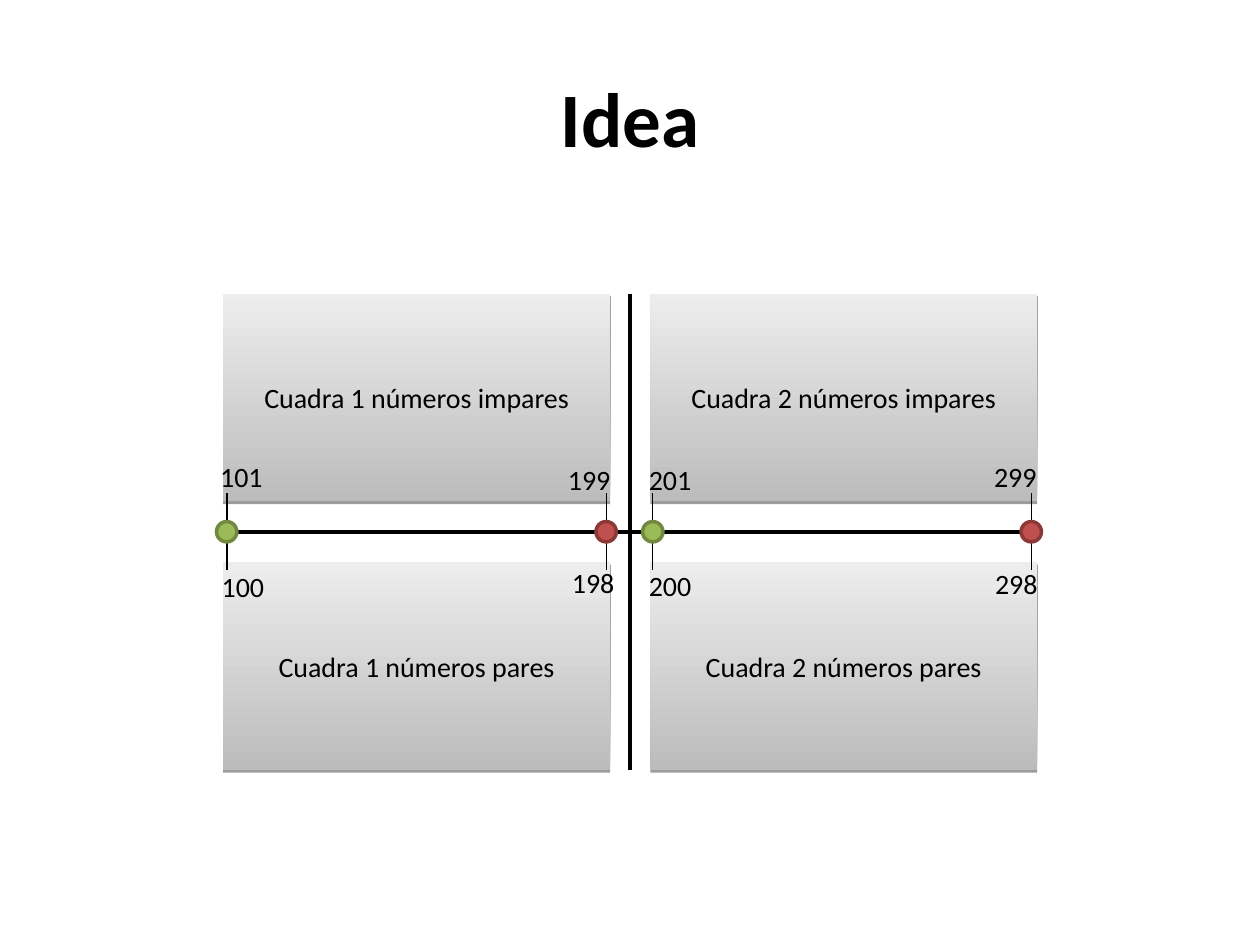
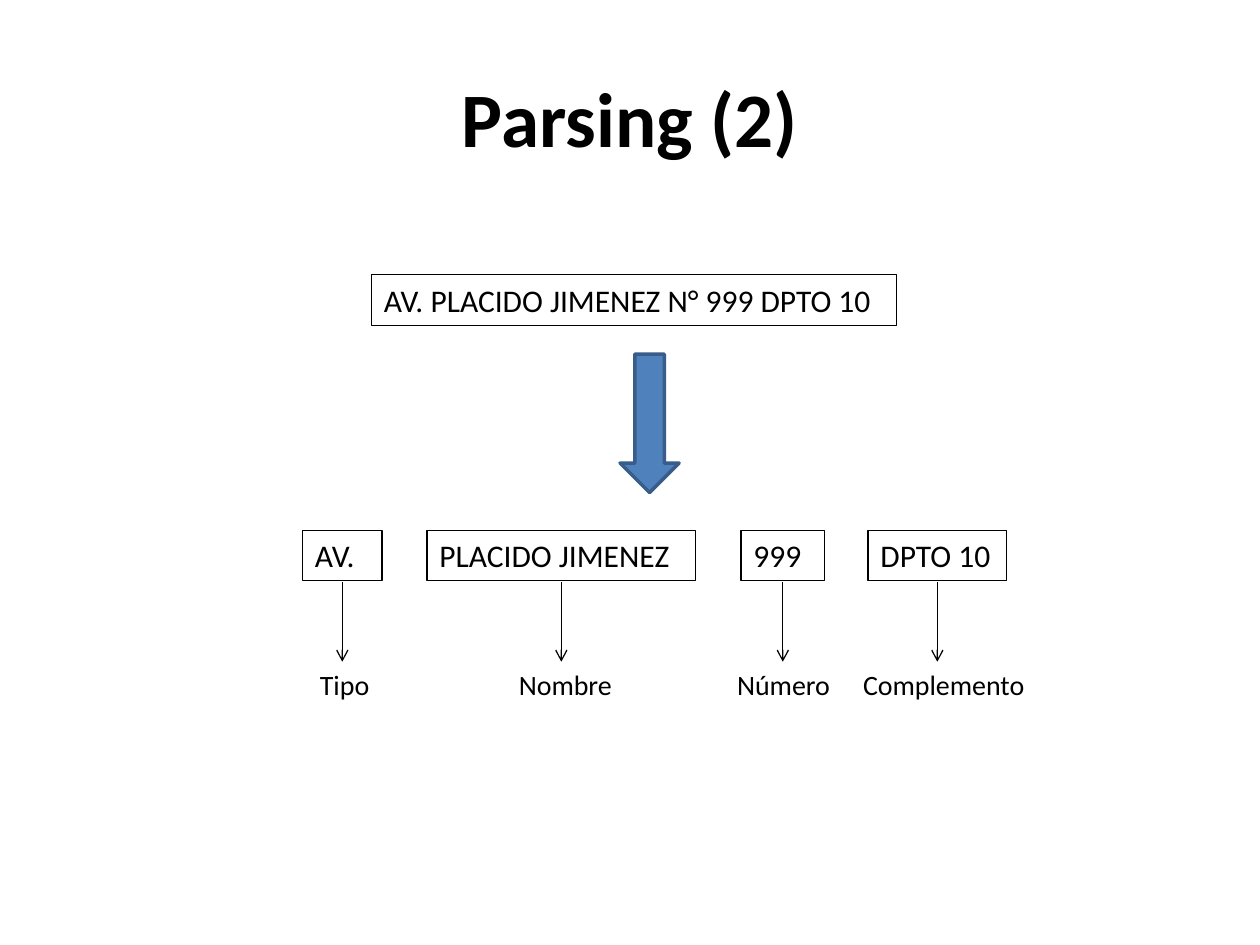
import pptx
import pptx.dml.color
import pptx.enum.shapes
import pptx.enum.text
import pptx.oxml
import pptx.oxml.ns
import pptx.util
import lxml.etree

BLACK = pptx.dml.color.RGBColor(0x00, 0x00, 0x00)
DARK = pptx.dml.color.RGBColor(0xBC, 0xBC, 0xBC)
LIGHT = pptx.dml.color.RGBColor(0xED, 0xED, 0xED)
GREEN = pptx.dml.color.RGBColor(0x9B, 0xBB, 0x59)
MOSS = pptx.dml.color.RGBColor(0x71, 0x89, 0x3F)
RED = pptx.dml.color.RGBColor(0xC0, 0x50, 0x4D)
WINE = pptx.dml.color.RGBColor(0x8C, 0x38, 0x36)
BLUE = pptx.dml.color.RGBColor(0x4F, 0x81, 0xBD)
NAVY = pptx.dml.color.RGBColor(0x38, 0x5D, 0x8A)

FORMS = pptx.enum.shapes.MSO_SHAPE
ALIGN = pptx.enum.text.PP_ALIGN
MIDDLE = pptx.enum.text.MSO_ANCHOR.MIDDLE
GROW = pptx.enum.text.MSO_AUTO_SIZE.SHAPE_TO_FIT_TEXT
HEAD = {"name": "Calibri", "size": pptx.util.Pt(44), "bold": True}
BODY = {"name": "Calibri", "size": pptx.util.Pt(18)}
SMALL = {"name": "Calibri", "size": pptx.util.Pt(16)}
THIN, THICK, EDGE = 0.74, 2.24, 2.01


def place(*sizes):
    """Turn centimetres into lengths."""
    return [pptx.util.Cm(size) for size in sizes]


def write(shape, text, style, align=ALIGN.LEFT):
    """Put one styled paragraph into a shape."""
    frame = shape.text_frame
    frame.word_wrap = True
    line = frame.paragraphs[0]
    line.alignment = align
    run = line.add_run()
    run.text = text
    for key, value in style.items():
        setattr(run.font, key, value)
    run.font.color.rgb = BLACK


def stroke(line, color, width):
    """Give a line its colour and width."""
    line.color.rgb = color
    line.width = pptx.util.Pt(width)


def start(deck, text):
    """Add a slide with its title."""
    slide = deck.slides.add_slide(deck.slide_layouts[5])
    title = slide.shapes.title
    spots = dict(zip(("left", "top", "width", "height"), place(1.27, 0.76, 22.86, 3.18)))
    for key, value in spots.items():
        setattr(title, key, value)
    title.text_frame.vertical_anchor = MIDDLE
    write(title, text, HEAD, ALIGN.CENTER)
    return slide


def label(slide, text, box, style=SMALL, framed=False):
    """Add a text box, framed if asked."""
    shape = slide.shapes.add_textbox(*place(*box))
    write(shape, text, style)
    shape.text_frame.auto_size = GROW
    if framed:
        stroke(shape.line, BLACK, THIN)


def form(slide, kind, box, fill, edge):
    """Add a filled and outlined preset shape."""
    shape = slide.shapes.add_shape(kind, *place(*box))
    shape.shadow.inherit = False
    shape.fill.solid()
    shape.fill.fore_color.rgb = fill
    stroke(shape.line, edge, EDGE)


def block(slide, text, box):
    """Add a grey street block with a soft edge below."""
    shape = slide.shapes.add_shape(FORMS.RECTANGLE, *place(*box))
    shape.line.fill.background()
    shape.fill.gradient()
    shape.fill.gradient_angle = 90
    for stop, color in zip(shape.fill.gradient_stops, (DARK, LIGHT)):
        stop.color.rgb = color
    shape.shadow.inherit = False
    glow = shape._element.spPr.find(pptx.oxml.ns.qn("a:effectLst"))
    shade = lxml.etree.SubElement(glow, pptx.oxml.ns.qn("a:outerShdw"), blurRad="0",
                                  dist=str(pptx.util.Pt(1.6)), dir="5400000", rotWithShape="0")
    tone = lxml.etree.SubElement(shade, pptx.oxml.ns.qn("a:srgbClr"), val=str(BLACK))
    lxml.etree.SubElement(tone, pptx.oxml.ns.qn("a:alpha"), val="38000")
    shape.text_frame.vertical_anchor = MIDDLE
    write(shape, text, SMALL, ALIGN.CENTER)


def link(slide, ends, width=THIN, arrow=False):
    """Draw a straight line, with an arrowhead if asked."""
    kind = pptx.enum.shapes.MSO_CONNECTOR.STRAIGHT
    wire = slide.shapes.add_connector(kind, *place(*ends))
    stroke(wire.line, BLACK, width)
    if arrow:
        lxml.etree.SubElement(wire.line._get_or_add_ln(), pptx.oxml.ns.qn("a:tailEnd"), type="arrow")
    lxml.etree.SubElement(wire._element.spPr, pptx.oxml.ns.qn("a:effectLst"))


def streets(deck):
    """Build the slide with the numbered blocks."""
    slide = start(deck, "Idea")
    axis, mid, dot = 10.72, 12.7, 0.41
    for top, kind in ((5.92, "impares"), (11.33, "pares")):
        for count, left in enumerate((4.5, 13.11), 1):
            block(slide, f"Cuadra {count} números {kind}", (left, top, 7.8, 4.19))
    link(slide, (4.5, axis, 20.9, axis), THICK)
    for top, base in ((5.92, axis), (axis, 15.52)):
        link(slide, (mid, top, mid, base), THICK)
    marks = (
        (4.57, 100, 0.99, GREEN, MOSS, (4.19, 9.14), (4.22, 11.35)),
        (12.22, 198, THIN, RED, WINE, (11.2, 9.19), (11.28, 11.28)),
        (13.16, 200, THIN, GREEN, MOSS, (12.83, 9.19), (12.83, 11.33)),
        (20.79, 298, THIN, RED, WINE, (19.79, 9.14), (19.81, 11.3)),
    )
    for spot, even, width, fill, edge, above, below in marks:
        for end in (9.93, 11.5):
            link(slide, (spot, axis, spot, end), width)
        form(slide, FORMS.OVAL, (spot - dot / 2, axis - dot / 2, dot, dot), fill, edge)
        label(slide, str(even + 1), (*above, 1.6, 0.94))
        label(slide, str(even), (*below, 1.6, 0.94))


def parts(deck):
    """Build the slide that splits an address."""
    slide = start(deck, "Parsing (2)")
    label(slide, "AV. PLACIDO JIMENEZ N° 999 DPTO 10", (7.49, 5.54, 10.59, 1.02), BODY, True)
    form(slide, FORMS.DOWN_ARROW, (12.5, 7.14, 1.19, 2.79), BLUE, NAVY)
    items = (
        ("AV.", 6.1, 1.6, "Tipo", 6.2, 1.8),
        ("PLACIDO JIMENEZ", 8.61, 5.41, "Nombre", 10.21, 2.79),
        ("999", 14.94, 1.68, "Número", 14.61, 2.72),
        ("DPTO 10", 17.5, 2.79, "Complemento", 17.15, 3.89),
    )
    for text, left, width, name, side, span in items:
        mid = left + width / 2
        label(slide, text, (left, 10.69, width, 1.02), BODY, True)
        link(slide, (mid, 11.73, mid, 13.34), arrow=True)
        label(slide, name, (side, 13.34, span, 0.94))


def main():
    """Build and save the deck."""
    deck = pptx.Presentation()
    deck.slide_width, deck.slide_height = place(25.4, 19.05)
    streets(deck)
    parts(deck)
    deck.save("out.pptx")


main()
